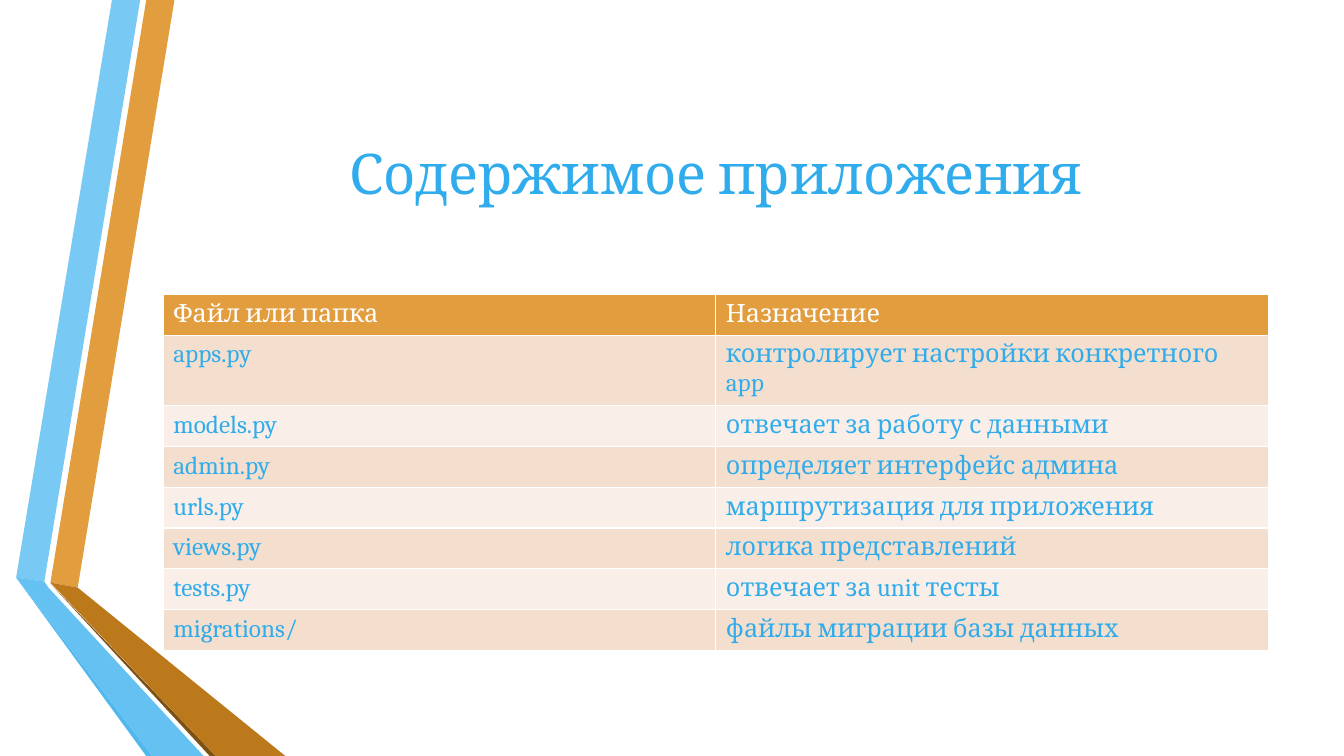
from lxml.etree import SubElement
from pptx import Presentation
from pptx.dml.color import RGBColor
from pptx.enum.text import MSO_ANCHOR as Anchor, PP_ALIGN as Align
from pptx.oxml.ns import qn
from pptx.util import Inches, Pt


def color(code):
    return RGBColor.from_string(code)


class Deck:
    font = "Cambria"
    accent = "30ACEC"
    light = "FFFFFF"
    header = "E29D3E"
    bands = ("F4DFCE", "FAEFE8")

    def __init__(self):
        self.show = Presentation()
        self.show.slide_width = Inches(13.33)
        self.show.slide_height = Inches(7.5)
        self.slide = self.show.slides.add_slide(self.show.slide_layouts[6])

    def across(self, percent):
        return round(self.show.slide_width * percent / 100)

    def down(self, percent):
        return round(self.show.slide_height * percent / 100)

    def area(self, left, top, width, height):
        return self.across(left), self.down(top), self.across(width), self.down(height)

    def style(self, frame, size, code):
        for paragraph in frame.paragraphs:
            for run in paragraph.runs:
                run.font.name = self.font
                run.font.size = Pt(size)
                run.font.color.rgb = color(code)

    def ribbon(self, code, corners):
        start, *rest = [(self.across(x), self.down(y)) for x, y in corners]
        builder = self.slide.shapes.build_freeform(*start)
        builder.add_line_segments(rest, close=True)
        band = builder.convert_to_shape()
        band.shadow.inherit = False
        band.fill.solid()
        band.fill.fore_color.rgb = color(code)
        band.line.fill.background()

    def title(self, text, *place):
        frame = self.slide.shapes.add_textbox(*self.area(*place)).text_frame
        frame.word_wrap = True
        frame.vertical_anchor = Anchor.MIDDLE
        frame.text = text
        frame.paragraphs[0].alignment = Align.CENTER
        self.style(frame, 40, self.accent)

    def borders(self, cell):
        properties = cell._tc.get_or_add_tcPr()
        for position, side in enumerate(("a:lnL", "a:lnR", "a:lnT", "a:lnB")):
            edge = SubElement(properties, qn(side), w=str(Pt(1)))
            properties.insert(position, edge)
            fill = SubElement(edge, qn("a:solidFill"))
            SubElement(fill, qn("a:srgbClr"), val=self.light)

    def table(self, rows, *place):
        grid = self.slide.shapes.add_table(len(rows), len(rows[0]), *self.area(*place)).table
        for index, texts in enumerate(rows):
            back = self.bands[(index - 1) % 2] if index else self.header
            ink = self.accent if index else self.light
            for column, text in enumerate(texts):
                cell = grid.cell(index, column)
                cell.text = text
                cell.fill.solid()
                cell.fill.fore_color.rgb = color(back)
                self.style(cell.text_frame, 18, ink)
                self.borders(cell)


RIBBONS = [
    ("E29D3E", [(3.75, 77.07), (5.78, 77.73), (12.98, 0), (10.88, 0)]),
    ("78C9F3", [(10.43, 0), (8.33, 0), (1.2, 76.4), (3.3, 76.93)]),
    ("4FB8EF", [(1.2, 76.4), (10.88, 100), (11.33, 100)]),
    ("7D5013", [(3.75, 77.2), (15.6, 100), (16.05, 100)]),
    ("BC791C", [(3.75, 77.07), (16.05, 100), (21.23, 100), (5.78, 77.73)]),
    ("64C1F1", [(15.15, 100), (3.6, 77.73), (3.3, 76.93), (1.2, 76.4), (11.33, 100)]),
]

FILES = [
    ("Файл или папка", "Назначение"),
    ("apps.py", "контролирует настройки конкретного app"),
    ("models.py", "отвечает за работу с данными"),
    ("admin.py", "определяет интерфейс админа"),
    ("urls.py", "маршрутизация для приложения"),
    ("views.py", "логика представлений"),
    ("tests.py", "отвечает за unit тесты"),
    ("migrations/", "файлы миграции базы данных"),
]

deck = Deck()
for code, corners in RIBBONS:
    deck.ribbon(code, corners)
deck.title("Содержимое приложения", 12.15, 10, 82.22, 25.6)
deck.table(FILES, 12.15, 38.93, 82.22, 43.2)
deck.show.save("out.pptx")
